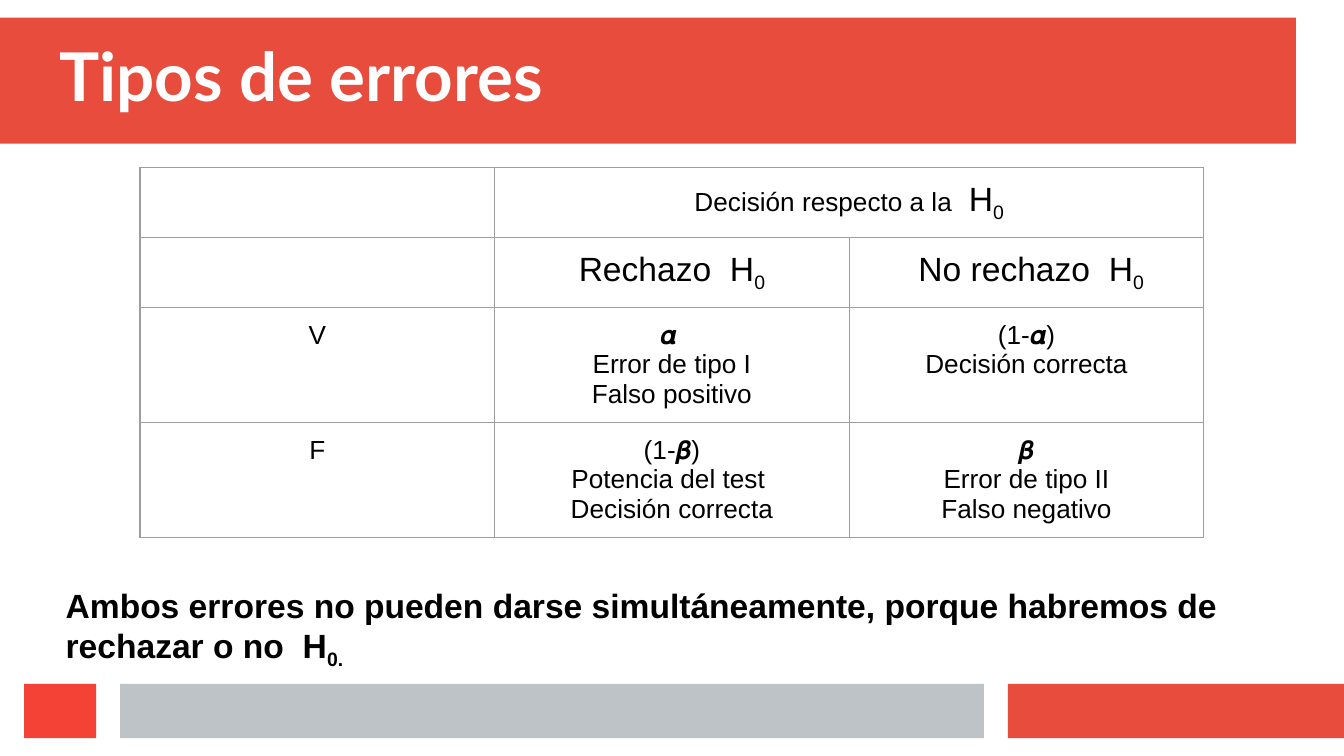
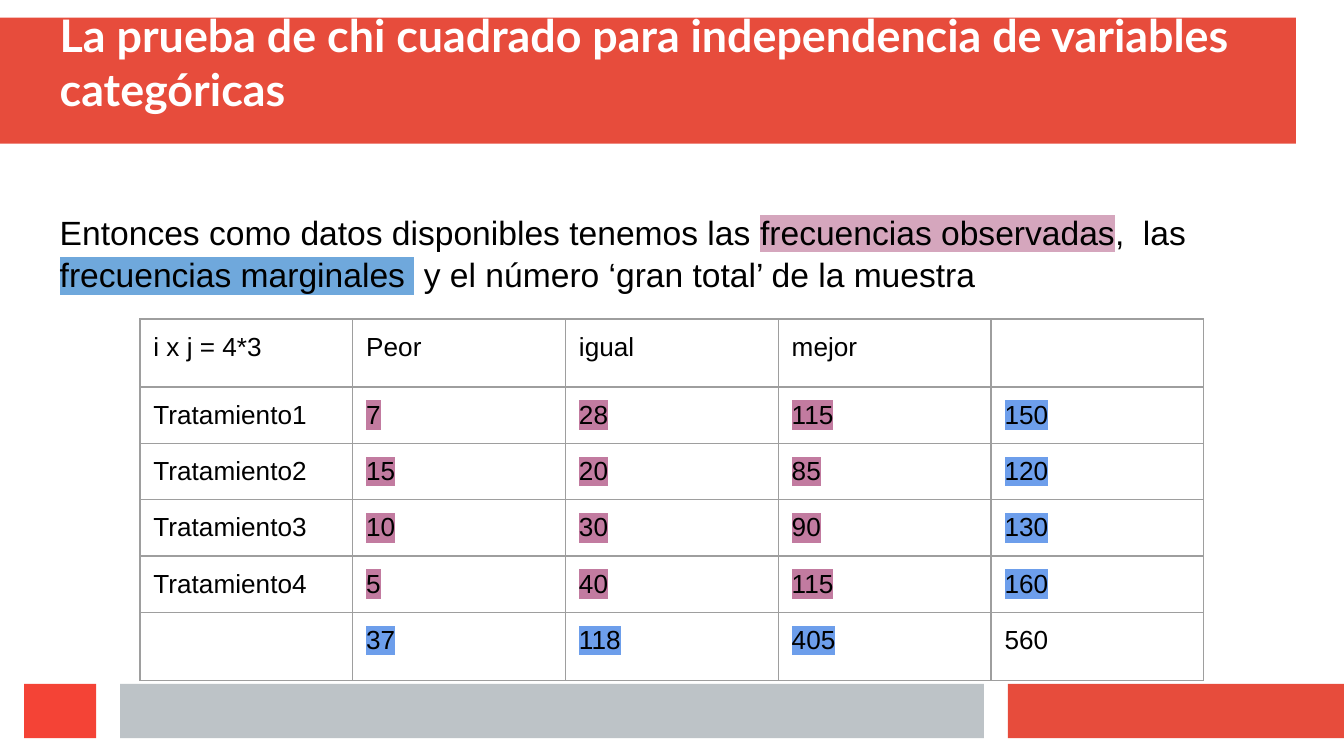
from dataclasses import dataclass
from typing import Optional

from lxml.etree import SubElement
from pptx import Presentation
from pptx.dml.color import RGBColor
from pptx.enum.shapes import MSO_SHAPE
from pptx.enum.text import MSO_ANCHOR, MSO_AUTO_SIZE, PP_ALIGN
from pptx.oxml.ns import qn
from pptx.util import Pt


@dataclass(frozen=True)
class Theme:
    red: str = "E74C3C"
    bright_red: str = "F44336"
    grey: str = "BDC3C7"
    white: str = "FFFFFF"
    black: str = "000000"
    border: str = "9E9E9E"
    observed: str = "C27BA0"
    observed_pale: str = "D5A6BD"
    marginal: str = "6D9EEB"
    marginal_pale: str = "6FA8DC"
    title_font: str = "Lato"
    body_font: str = "Arial"
    title_size: int = 36
    long_title_size: int = 24
    body_size: int = 18
    cell_size: int = 14


THEME = Theme()
TABLE_LEFT, TABLE_WIDTH = 75, 570
INSET, PLACEHOLDER_INSET = 7.2, 6


@dataclass(frozen=True)
class Piece:
    """A stretch of text with one format."""
    text: str
    size: int = THEME.cell_size
    bold: bool = False
    subscript: bool = False
    mark: Optional[str] = None
    font: str = THEME.body_font
    color: str = THEME.black


# Text helpers
def add_piece(para, piece):
    span = para.add_run()
    span.text = piece.text
    span.font.size = Pt(piece.size)
    span.font.bold = piece.bold
    span.font.color.rgb = RGBColor.from_string(piece.color)
    properties = span._r.get_or_add_rPr()
    if piece.subscript:
        properties.set("baseline", "-25000")
    if piece.mark:
        highlight = SubElement(properties, qn("a:highlight"))
        SubElement(highlight, qn("a:srgbClr"), val=piece.mark)
    span.font.name = piece.font


def write(frame, lines, align=PP_ALIGN.LEFT):
    """Fill a text frame; each line is a list of pieces."""
    for number, line in enumerate(lines):
        para = frame.add_paragraph() if number else frame.paragraphs[0]
        para.alignment = align
        for piece in line:
            add_piece(para, piece)


def set_up_frame(frame, inset, anchor=MSO_ANCHOR.TOP):
    frame.word_wrap = True
    frame.auto_size = MSO_AUTO_SIZE.NONE
    frame.vertical_anchor = anchor
    frame.margin_left = frame.margin_right = Pt(inset)
    frame.margin_top = frame.margin_bottom = Pt(inset)


def place(shape, left, top, width, height):
    shape.left, shape.top = Pt(left), Pt(top)
    shape.width, shape.height = Pt(width), Pt(height)


def h_zero(lead, size=THEME.body_size, bold=False, zero="0"):
    """Text that ends in the null hypothesis symbol."""
    return [Piece(lead + "H", size, bold), Piece(zero, size, bold, subscript=True)]


# Shared parts
def add_master_bands(deck, slide):
    """Draw the bands and move them behind everything on the master."""
    bands = [
        (0, 9.5, 694.3, 67.5, THEME.red),
        (540, 366.4, 180, 29, THEME.red),
        (64.3, 366.4, 462.8, 29, THEME.grey),
        (12.9, 366.4, 38.6, 29, THEME.bright_red),
    ]
    tree = deck.slide_master.shapes._spTree
    for number, (left, top, width, height, color) in enumerate(bands):
        band = slide.shapes.add_shape(
            MSO_SHAPE.RECTANGLE, Pt(left), Pt(top), Pt(width), Pt(height))
        band.shadow.inherit = False
        band.fill.solid()
        band.fill.fore_color.rgb = RGBColor.from_string(color)
        band.line.fill.background()
        band._element.nvSpPr.cNvPr.set("id", str(100 + number))
        tree.insert(2 + number, band._element)


def add_title(slide, text, size):
    title = slide.shapes.title
    place(title, 26, 19.5, 669, 48.2)
    set_up_frame(title.text_frame, PLACEHOLDER_INSET, MSO_ANCHOR.BOTTOM)
    write(title.text_frame, [[Piece(text, size, True, font=THEME.title_font,
                                    color=THEME.white)]])


# Tables
def set_borders(cell):
    properties = cell._tc.get_or_add_tcPr()
    for side in ("a:lnL", "a:lnR", "a:lnT", "a:lnB"):
        line = SubElement(properties, qn(side), w=str(Pt(0.75)))
        fill = SubElement(line, qn("a:solidFill"))
        SubElement(fill, qn("a:srgbClr"), val=THEME.border)


def add_grid(slide, top, heights, rows, align):
    """Add a table; each cell is a list of lines."""
    columns = len(rows[0])
    table = slide.shapes.add_table(
        len(rows), columns, Pt(TABLE_LEFT), Pt(top),
        Pt(TABLE_WIDTH), Pt(sum(heights))).table
    table.first_row = table.horz_banding = False
    for column in table.columns:
        column.width = Pt(TABLE_WIDTH / columns)
    for row, height, contents in zip(table.rows, heights, rows):
        row.height = Pt(height)
        for cell, lines in zip(row.cells, contents):
            cell.margin_left = cell.margin_right = Pt(INSET)
            cell.margin_top = cell.margin_bottom = Pt(INSET)
            set_borders(cell)
            cell.fill.background()
            write(cell.text_frame, lines, align)
    return table


def plain(*lines):
    return [[Piece(line)] for line in lines]


# Slides
def build_error_types(deck):
    slide = deck.slides.add_slide(deck.slide_layouts[5])
    add_master_bands(deck, slide)
    add_title(slide, "Tipos de errores", THEME.title_size)
    alpha, beta = "\U0001D736", "\U0001D737"
    rows = [
        [[], [[Piece("Decisión respecto a la ")] + h_zero(" ")], []],
        [[], [h_zero("Rechazo  ")], [h_zero(" No rechazo  ")]],
        [plain("V"),
         plain(alpha + " ", "Error de tipo I", "Falso positivo"),
         plain(f"(1-{alpha})", "Decisión correcta")],
        [plain("F"),
         plain(f"(1-{beta})", "Potencia del test ", "Decisión correcta"),
         plain(beta, "Error de tipo II", "Falso negativo")],
    ]
    table = add_grid(slide, 89.7, [37.5, 37.5, 61.6, 61.6], rows, PP_ALIGN.CENTER)
    table.cell(0, 1).merge(table.cell(0, 2))

    box = slide.shapes.add_textbox(Pt(28.1), Pt(306), Pt(678.2), Pt(74.2))
    set_up_frame(box.text_frame, INSET)
    write(box.text_frame, [h_zero(
        "Ambos errores no pueden darse simultáneamente, porque habremos de "
        "rechazar o no  ", bold=True, zero="0.")])


def build_chi_square(deck):
    slide = deck.slides.add_slide(deck.slide_layouts[1])
    add_title(slide, "La prueba de chi cuadrado para independencia de "
              "variables categóricas", THEME.long_title_size)

    # Introduction without a bullet
    body = slide.placeholders[1]
    place(body, 26, 106, 656, 250.5)
    set_up_frame(body.text_frame, PLACEHOLDER_INSET)
    size = THEME.body_size
    write(body.text_frame, [[
        Piece("Entonces como datos disponibles tenemos las ", size),
        Piece("frecuencias observadas", size, mark=THEME.observed_pale),
        Piece(",  las ", size),
        Piece("frecuencias marginales ", size, mark=THEME.marginal_pale),
        Piece(" y el número ‘gran total’ de la muestra", size),
    ]])
    para = body.text_frame.paragraphs[0]
    para.line_spacing = 1.06
    para.space_before = Pt(0)
    properties = para._p.get_or_add_pPr()
    properties.set("marL", "0")
    properties.set("indent", "0")
    SubElement(properties, qn("a:buNone"))

    # Observed counts with their row and column totals
    counts = [(7, 28, 115, 150), (15, 20, 85, 120),
              (10, 30, 90, 130), (5, 40, 115, 160)]
    totals = (37, 118, 405)

    def marked(values, color):
        return [[[Piece(str(value), mark=color)]] for value in values]

    rows = [[plain(head) for head in ("i x j = 4*3", "Peor", "igual", "mejor")] + [[]]]
    for number, (*observed, total) in enumerate(counts, 1):
        rows.append([plain(f"Tratamiento{number}")]
                    + marked(observed, THEME.observed)
                    + marked([total], THEME.marginal))
    rows.append([[]] + marked(totals, THEME.marginal) + [plain("560")])
    add_grid(slide, 170.9, [34.3] + [30.2] * 4 + [34.3], rows, PP_ALIGN.LEFT)


def main():
    deck = Presentation()
    deck.slide_width, deck.slide_height = Pt(720), Pt(405)
    build_error_types(deck)
    build_chi_square(deck)
    deck.save("out.pptx")


main()
